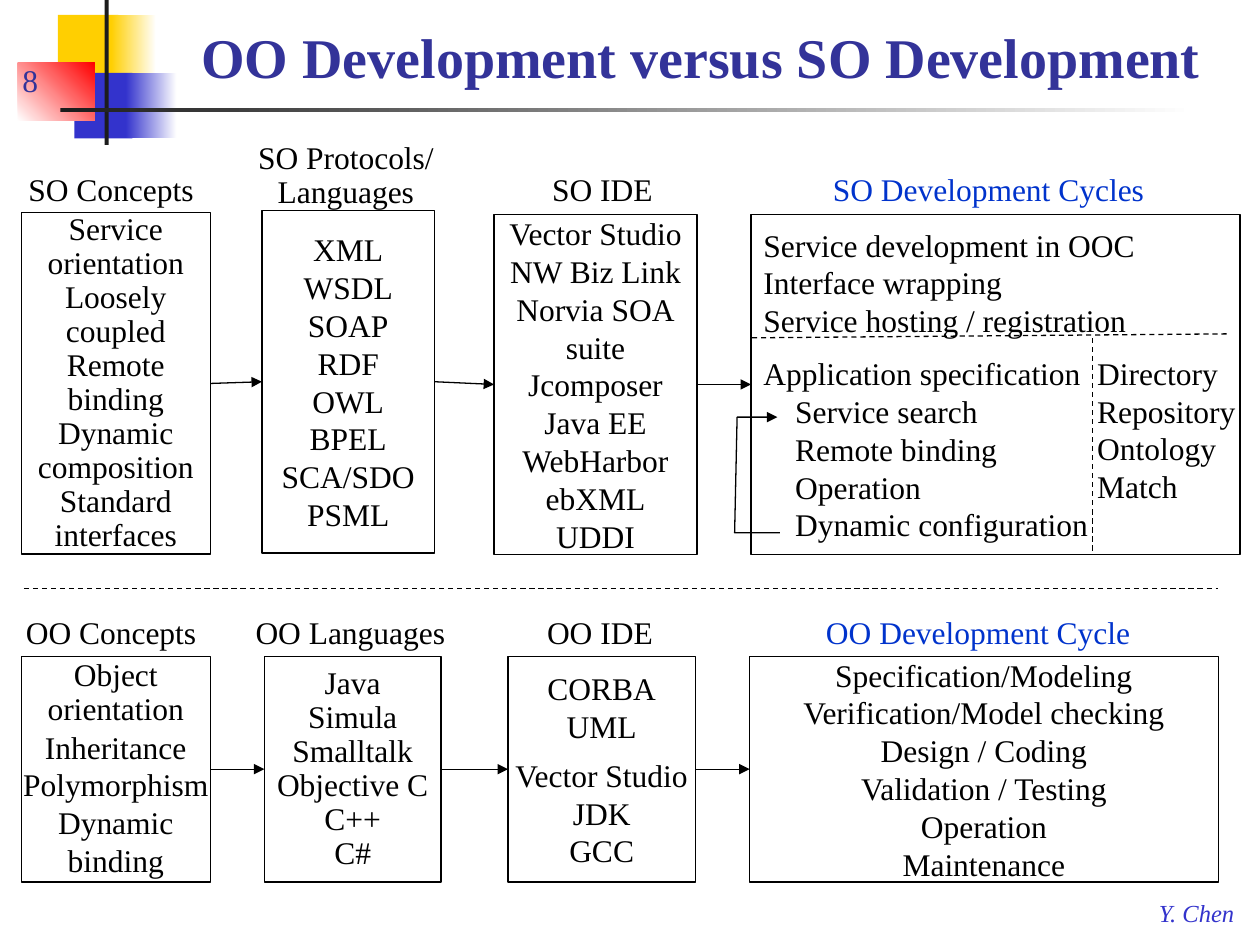
from dataclasses import dataclass

from lxml import etree
from pptx import Presentation
from pptx import util as u
from pptx.dml import color
from pptx.enum import dml, shapes, text
from pptx.oxml import ns

CENTER, LEFT = text.PP_ALIGN.CENTER, text.PP_ALIGN.LEFT
MIDDLE, BOTTOM, TOP = (text.MSO_ANCHOR.MIDDLE, text.MSO_ANCHOR.BOTTOM,
                       text.MSO_ANCHOR.TOP)
RIGHT_SIDE, LEFT_SIDE = 3, 1


@dataclass(frozen=True)
class Theme:
    font: str = "Times New Roman"
    black: str = "000000"
    white: str = "FFFFFF"
    ink: str = "1C1C1C"
    yellow: str = "FFCF01"
    blue: str = "3333CC"
    red: str = "FF0000"
    navy: str = "333399"
    accent: str = "0033CC"
    title: int = 32
    body: int = 18
    footer: int = 14
    line: float = 0.75


THEME = Theme()

# heading, heading place, box place, lines, line spacing by paragraph
SO_STAGES = [
    ("SO Concepts", (-0.2, 3.3, 4.88, 1.02), (0.43, 4.29, 3.81, 6.88),
     "Service\norientation\nLoosely\ncoupled\nRemote\vbinding\n"
     "Dynamic\vcomposition\nStandard\vinterfaces", dict.fromkeys(range(7), 0.9)),
    ("SO Protocols/\nLanguages", (3.38, 2.74, 7.19, 1.65), (5.28, 4.24, 3.48, 6.91),
     "XML\nWSDL\nSOAP\nRDF\nOWL\nBPEL\nSCA/SDO\nPSML", {}),
    ("SO IDE", (9.68, 3.3, 4.93, 1.02), (9.96, 4.32, 4.09, 6.86),
     "Vector Studio\nNW Biz Link\nNorvia SOA\vsuite\nJcomposer\nJava EE\n"
     "WebHarbor\nebXML\nUDDI", {}),
]
OO_STAGES = [
    ("OO Concepts", (-0.2, 12.24, 4.88, 1.02), (0.43, 13.23, 3.81, 4.55),
     "Object\norientation\nInheritance\nPolymorphism\nDynamic\nbinding",
     {0: 0.9, 1: 0.9}),
    ("OO Languages", (4.65, 12.24, 4.83, 1.02), (5.33, 13.23, 3.56, 4.55),
     "Java\nSimula\nSmalltalk\nObjective C\nC++\nC#", dict.fromkeys(range(6), 0.9)),
    ("OO IDE", (9.58, 12.24, 5.03, 1.02), (10.24, 13.23, 3.78, 4.55),
     "CORBA\nUML\nVector Studio\nJDK\nGCC", {2: 1.3}),
]


def rgb(value):
    return color.RGBColor.from_string(value)


def cm(values):
    return [u.Cm(value) for value in values]


def write(shape, words, size=THEME.body, ink=THEME.black, align=CENTER,
          anchor=TOP, wrap=True, spacing=None, bold=False, italic=False):
    """Fill a shape with text; spacing maps a paragraph number to its line spacing."""
    frame = shape.text_frame
    frame.text = words
    frame.word_wrap = wrap
    frame.vertical_anchor = anchor
    for number, para in enumerate(frame.paragraphs):
        para.alignment = align
        if spacing and number in spacing:
            para.line_spacing = spacing[number]
        for span in para.runs:
            font = span.font
            font.name, font.size = THEME.font, u.Pt(size)
            font.bold, font.italic = bold, italic
            font.color.rgb = rgb(ink)


def add_label(page, place, words, **style):
    label = page.shapes.add_textbox(*cm(place))
    write(label, words, **style)
    return label


def add_box(page, place, words, align=CENTER, spacing=None):
    box = page.shapes.add_shape(shapes.MSO_SHAPE.RECTANGLE, *cm(place))
    box.shadow.inherit = False
    box.fill.background()
    box.line.color.rgb = rgb(THEME.black)
    box.line.width = u.Pt(THEME.line)
    write(box, words, align=align, anchor=MIDDLE, wrap=align == LEFT,
          spacing=spacing)
    return box


def add_block(page, place, start, end=None, angle=0):
    """Add a borderless rectangle, plain or fading from start to end."""
    block = page.shapes.add_shape(shapes.MSO_SHAPE.RECTANGLE, *cm(place))
    block.shadow.inherit = False
    block.line.fill.background()
    if end is None:
        block.fill.solid()
        block.fill.fore_color.rgb = rgb(start)
        return
    block.fill.gradient()
    block.fill.gradient_angle = angle
    for stop, shade in zip(block.fill.gradient_stops, (start, end)):
        stop.color.rgb = rgb(shade)


def add_arrowhead(shape):
    outline = shape.element.spPr.find(ns.qn("a:ln"))
    etree.SubElement(outline, ns.qn("a:tailEnd"), type="triangle")


def add_line(page, ends, dashed=False):
    line = page.shapes.add_connector(shapes.MSO_CONNECTOR.STRAIGHT, *cm(ends))
    line.line.color.rgb = rgb(THEME.black)
    line.line.width = u.Pt(THEME.line)
    if dashed:
        line.line.dash_style = dml.MSO_LINE.DASH
    etree.SubElement(line.element.spPr, ns.qn("a:effectLst"))
    return line


def join_boxes(page, boxes):
    for source, target in zip(boxes, boxes[1:]):
        arrow = add_line(page, (0, 0, 0, 0))
        arrow.begin_connect(source, RIGHT_SIDE)
        arrow.end_connect(target, LEFT_SIDE)
        add_arrowhead(arrow)


def add_loop(page):
    """Add the arrow that leads from configuration back to service search."""
    start, *rest = [cm(point) for point in (
        (15.72, 10.74), (14.81, 10.74), (14.86, 8.41), (15.67, 8.41))]
    builder = page.shapes.build_freeform(*start)
    builder.add_line_segments(rest, close=False)
    loop = builder.convert_to_shape()
    loop.shadow.inherit = False
    loop.fill.background()
    loop.line.color.rgb = rgb(THEME.black)
    loop.line.width = u.Pt(THEME.line)
    add_arrowhead(loop)


def add_stages(page, stages):
    boxes = []
    for heading, heading_place, place, words, spacing in stages:
        tight = {0: 0.9, 1: 0.9} if "\n" in heading else None
        add_label(page, heading_place, heading, spacing=tight)
        boxes.append(add_box(page, place, words, spacing=spacing))
    return boxes


def add_decoration(page):
    add_block(page, (1.17, 0.3, 1.22, 1.32), THEME.yellow)
    add_block(page, (2.24, 0.3, 0.91, 1.32), THEME.yellow, THEME.white)
    add_block(page, (1.5, 1.47, 1.17, 1.32), THEME.blue)
    add_block(page, (2.54, 1.47, 1.02, 1.32), THEME.blue, THEME.white)
    add_block(page, (0.36, 1.27, 1.55, 1.17), THEME.white, THEME.red, angle=45)
    add_block(page, (2.11, 0, 0.08, 2.92), THEME.ink)
    add_block(page, (1.22, 2.18, 22.86, 0.08), THEME.ink, THEME.white)


def add_service_row(page):
    boxes = add_stages(page, SO_STAGES)
    add_label(page, (16.54, 3.3, 7.59, 1.02), "SO Development Cycles",
              ink=THEME.accent, align=LEFT)
    cycle = add_box(
        page, (15.14, 4.32, 9.86, 6.86),
        "Service development in OOC\nInterface wrapping\n"
        "Service hosting / registration\nApplication specification\n"
        "Service search\nRemote binding\nOperation\nDynamic configuration",
        align=LEFT, spacing={3: 1.4})
    for para in cycle.text_frame.paragraphs[4:]:
        para._p.get_or_add_pPr().set("marL", str(u.Cm(0.64)))
    add_label(page, (21.87, 7.01, 3.33, 3.33),
              "Directory\nRepository\nOntology\nMatch", align=LEFT)
    add_line(page, (15.16, 6.81, 24.77, 6.73), dashed=True)
    add_line(page, (22.02, 6.81, 22.02, 11.18), dashed=True)
    add_loop(page)
    join_boxes(page, boxes + [cycle])


def add_object_row(page):
    boxes = add_stages(page, OO_STAGES)
    add_label(page, (16, 12.24, 7.44, 1.02), "OO Development Cycle",
              ink=THEME.accent)
    cycle = add_box(
        page, (15.11, 13.23, 9.45, 4.55),
        "Specification/Modeling\nVerification/Model checking\nDesign / Coding\n"
        "Validation / Testing\nOperation\nMaintenance")
    join_boxes(page, boxes + [cycle])


def main():
    deck = Presentation()
    deck.slide_width, deck.slide_height = cm((25.4, 19.05))
    page = deck.slides.add_slide(deck.slide_layouts[6])
    add_decoration(page)
    add_label(page, (23.11, 17.98, 2.08, 0.84), "Y. Chen", size=THEME.footer,
              ink=THEME.blue, align=LEFT, wrap=False, italic=True)
    add_label(page, (0.2, 0.84, 5.28, 1.27), "8", ink=THEME.navy, align=LEFT,
              anchor=BOTTOM)
    add_label(page, (3.81, 0.2, 21.39, 1.73),
              "OO Development versus SO Development", size=THEME.title,
              ink=THEME.navy, align=LEFT, anchor=BOTTOM, bold=True)
    add_service_row(page)
    add_line(page, (0.48, 11.86, 24.56, 11.86), dashed=True)
    add_object_row(page)
    deck.save("out.pptx")


if __name__ == "__main__":
    main()
